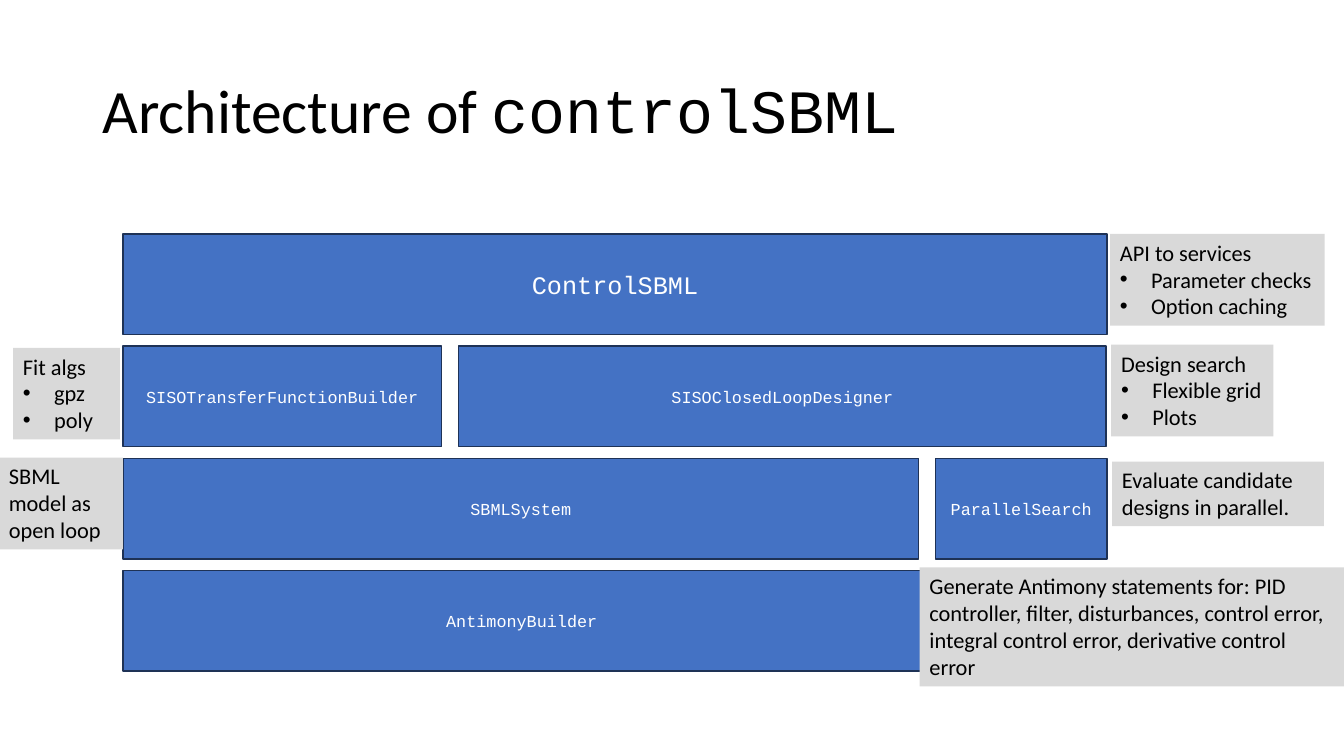
import pptx
import pptx.util
import pptx.dml.color
import pptx.enum.shapes
import pptx.enum.text
import lxml.etree

Inches = pptx.util.Inches
Align = pptx.enum.text.PP_ALIGN
Anchor = pptx.enum.text.MSO_ANCHOR
AutoSize = pptx.enum.text.MSO_AUTO_SIZE

SANS, MONO = "Calibri", "Courier New"
BLUE, NAVY, GREY, WHITE, BLACK = "4472C4", "1E3256", "D9D9D9", "FFFFFF", "000000"

TITLE = [("Architecture of ", SANS), ("controlSBML", MONO)]

LAYERS = [
    [("ControlSBML", 1.22, 9.76, 18)],
    [("SISOTransferFunctionBuilder", 1.22, 3.16, 12), ("SISOClosedLoopDesigner", 4.55, 6.42, 12)],
    [("SBMLSystem", 1.22, 7.89, 12), ("ParallelSearch", 9.28, 1.7, 12)],
    [("AntimonyBuilder", 1.22, 7.91, 12)],
]
LAYER_TOP, LAYER_PITCH, LAYER_HEIGHT = 2.32, 1.113, 1

NOTES = [
    ("API to services", ["Parameter checks", "Option caching"], (11.01, 2.32, 2.13, 0.91), False),
    ("Design search", ["Flexible grid", "Plots"], (11.02, 3.42, 1.61, 0.91), False),
    ("Fit algs", ["gpz", "poly"], (0.13, 3.45, 1.06, 0.91), True),
    ("Evaluate candidate designs in parallel.", [], (11.03, 4.58, 2.1, 0.64), True),
    ("SBML model as open loop", [], (-0.01, 4.54, 1.23, 0.91), True),
    ("Generate Antimony statements for: PID controller, filter, disturbances, control error, "
     "integral control error, derivative control error", [], (9.12, 5.63, 4.21, 1.18), True),
]
BULLET_INDENT = 0.31


def color(value):
    return pptx.dml.color.RGBColor.from_string(value)


def add_span(para, text, font=SANS, size=16, ink=BLACK):
    span = para.add_run()
    span.text = text
    span.font.name = font
    span.font.size = pptx.util.Pt(size)
    span.font.color.rgb = color(ink)


def add_box(page, bounds, fill, line=None):
    box = page.shapes.add_shape(
        pptx.enum.shapes.MSO_SHAPE.RECTANGLE, *[Inches(length) for length in bounds])
    box.shadow.inherit = False
    box.fill.solid()
    box.fill.fore_color.rgb = color(fill)
    if line:
        box.line.color.rgb = color(line)
        box.line.width = pptx.util.Pt(1)
    else:
        box.line.fill.background()
    return box


def add_bullet(para):
    properties = para._p.get_or_add_pPr()
    properties.set("marL", str(Inches(BULLET_INDENT)))
    properties.set("indent", str(-Inches(BULLET_INDENT)))
    namespace = pptx.oxml.ns.qn("a:buFont"), pptx.oxml.ns.qn("a:buChar")
    lxml.etree.SubElement(properties, namespace[0]).set("typeface", "Arial")
    lxml.etree.SubElement(properties, namespace[1]).set("char", "•")


def add_title(page):
    box = page.shapes.add_textbox(Inches(0.92), Inches(0.4), Inches(11.5), Inches(1.45))
    frame = box.text_frame
    frame.word_wrap = True
    frame.vertical_anchor = Anchor.MIDDLE
    para = frame.paragraphs[0]
    para.line_spacing = 0.9
    for text, font in TITLE:
        add_span(para, text, font=font, size=44)


def add_component(page, name, bounds, size):
    frame = add_box(page, bounds, BLUE, line=NAVY).text_frame
    frame.word_wrap = True
    frame.vertical_anchor = Anchor.MIDDLE
    para = frame.paragraphs[0]
    para.alignment = Align.CENTER
    add_span(para, name, font=MONO, size=size, ink=WHITE)


def add_note(page, heading, bullets, bounds, wrap):
    frame = add_box(page, bounds, GREY).text_frame
    frame.word_wrap = wrap
    frame.auto_size = AutoSize.SHAPE_TO_FIT_TEXT
    frame.vertical_anchor = Anchor.TOP
    for index, text in enumerate([heading] + bullets):
        para = frame.add_paragraph() if index else frame.paragraphs[0]
        para.alignment = Align.LEFT
        if index:
            add_bullet(para)
        add_span(para, text)


def main():
    deck = pptx.Presentation()
    deck.slide_width, deck.slide_height = Inches(13.33), Inches(7.5)
    page = deck.slides.add_slide(deck.slide_layouts[6])
    add_title(page)
    for row, layer in enumerate(LAYERS):
        top = LAYER_TOP + row * LAYER_PITCH
        for name, left, width, size in layer:
            add_component(page, name, (left, top, width, LAYER_HEIGHT), size)
    for note in NOTES:
        add_note(page, *note)
    deck.save("out.pptx")


if __name__ == "__main__":
    main()
